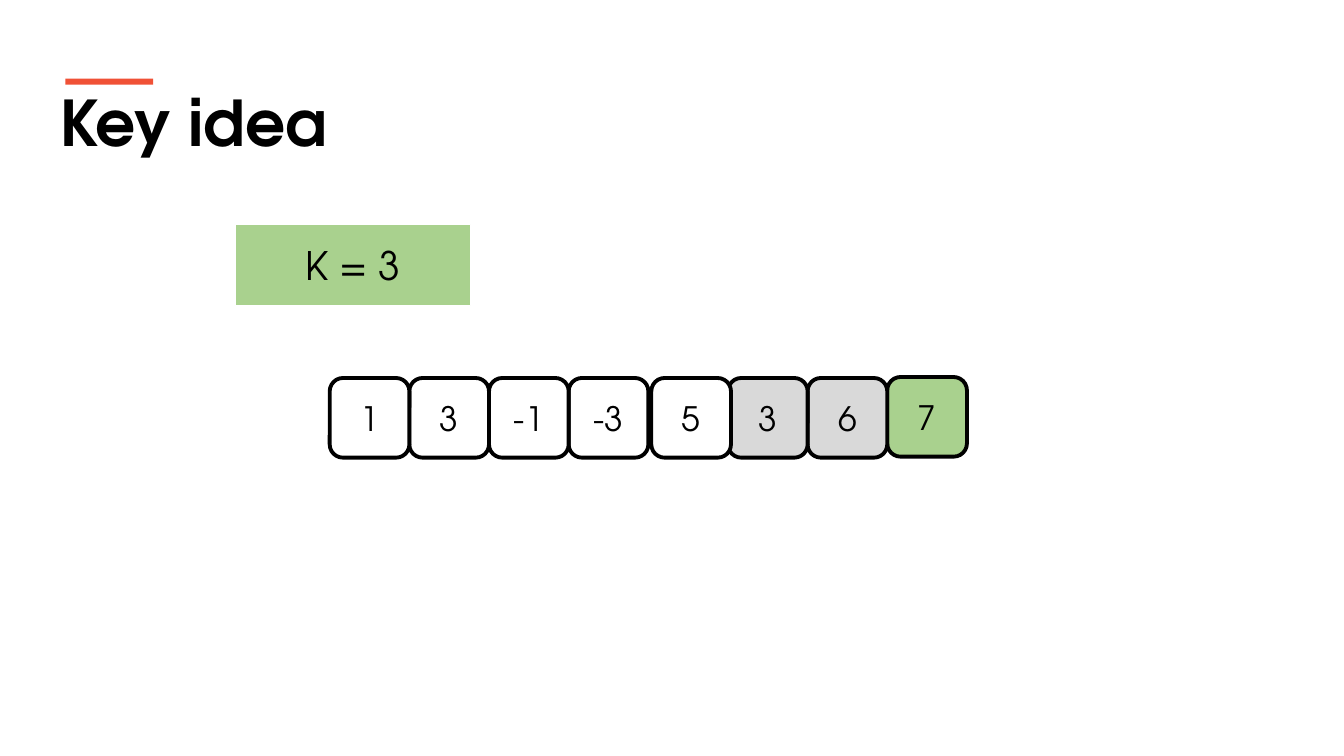
from dataclasses import dataclass

from pptx import Presentation
from pptx import util as u
from pptx.dml.color import RGBColor
from pptx.enum import shapes, text
from pptx.shapes.autoshape import Shape
from pptx.slide import Slide


@dataclass(frozen=True)
class Theme:
    font: str = "TeX Gyre Adventor"
    black: str = "000000"
    white: str = "FFFFFF"
    gray: str = "D9D9D9"
    green: str = "A9D18E"
    accent: str = "F05136"
    title_size: float = 45
    label_size: float = 28
    cell_size: float = 24
    cell_line: float = 2.75
    label_line: float = 1


THEME = Theme()


@dataclass(frozen=True)
class Box:
    left: float
    top: float
    width: float
    height: float
    fill: str
    label: str = ""
    size: float = THEME.cell_size
    line: str = ""
    line_width: float = 0
    kind: shapes.MSO_SHAPE = shapes.MSO_SHAPE.RECTANGLE


@dataclass(frozen=True)
class Cell:
    value: str
    fill: str = THEME.white
    shift_x: float = 0
    shift_y: float = 0


CELL_SIDE = 0.79
ARRAY_LEFT = 3.27
ARRAY_TOP = 3.75
CELLS = [
    Cell("1"),
    Cell("3"),
    Cell("-1"),
    Cell("-3"),
    Cell("5", shift_x=0.03),
    Cell("3", THEME.gray),
    Cell("6", THEME.gray),
    Cell("7", THEME.green, shift_y=-0.01),
]


def write_text(shape: Shape, content: str, size: float, bold: bool = False) -> None:
    shape.text_frame.text = content
    font = shape.text_frame.paragraphs[0].runs[0].font
    font.name = THEME.font
    font.size = u.Pt(size)
    font.bold = bold
    font.color.rgb = RGBColor.from_string(THEME.black)


def draw_title(slide: Slide, content: str) -> None:
    title = slide.shapes.add_textbox(
        u.Inches(0.5), u.Inches(0.78), u.Inches(12.18), u.Inches(0.86)
    )
    title.text_frame.word_wrap = True
    write_text(title, content, THEME.title_size, bold=True)


def draw_box(slide: Slide, box: Box) -> None:
    shape = slide.shapes.add_shape(
        box.kind,
        u.Inches(box.left),
        u.Inches(box.top),
        u.Inches(box.width),
        u.Inches(box.height),
    )
    shape.shadow.inherit = False
    shape.fill.solid()
    shape.fill.fore_color.rgb = RGBColor.from_string(box.fill)
    if box.line:
        shape.line.color.rgb = RGBColor.from_string(box.line)
        shape.line.width = u.Pt(box.line_width)
    else:
        shape.line.fill.background()
    if box.label:
        write_text(shape, box.label, box.size)
        shape.text_frame.vertical_anchor = text.MSO_ANCHOR.MIDDLE
        shape.text_frame.paragraphs[0].alignment = text.PP_ALIGN.CENTER


def draw_array(slide: Slide, cells: list[Cell]) -> None:
    for index, cell in reversed(list(enumerate(cells))):
        draw_box(
            slide,
            Box(
                ARRAY_LEFT + index * CELL_SIDE + cell.shift_x,
                ARRAY_TOP + cell.shift_y,
                CELL_SIDE,
                CELL_SIDE,
                cell.fill,
                cell.value,
                line=THEME.black,
                line_width=THEME.cell_line,
                kind=shapes.MSO_SHAPE.ROUNDED_RECTANGLE,
            ),
        )


def main() -> None:
    presentation = Presentation()
    presentation.slide_width = u.Inches(13.33)
    presentation.slide_height = u.Inches(7.5)
    slide = presentation.slides.add_slide(presentation.slide_layouts[6])
    draw_title(slide, "Key idea")
    draw_box(slide, Box(0.65, 0.78, 0.87, 0.06, THEME.accent))
    draw_box(
        slide,
        Box(
            2.33, 2.23, 2.34, 0.8, THEME.green, "K = 3",
            THEME.label_size, THEME.white, THEME.label_line,
        ),
    )
    draw_array(slide, CELLS)
    presentation.save("out.pptx")


if __name__ == "__main__":
    main()
